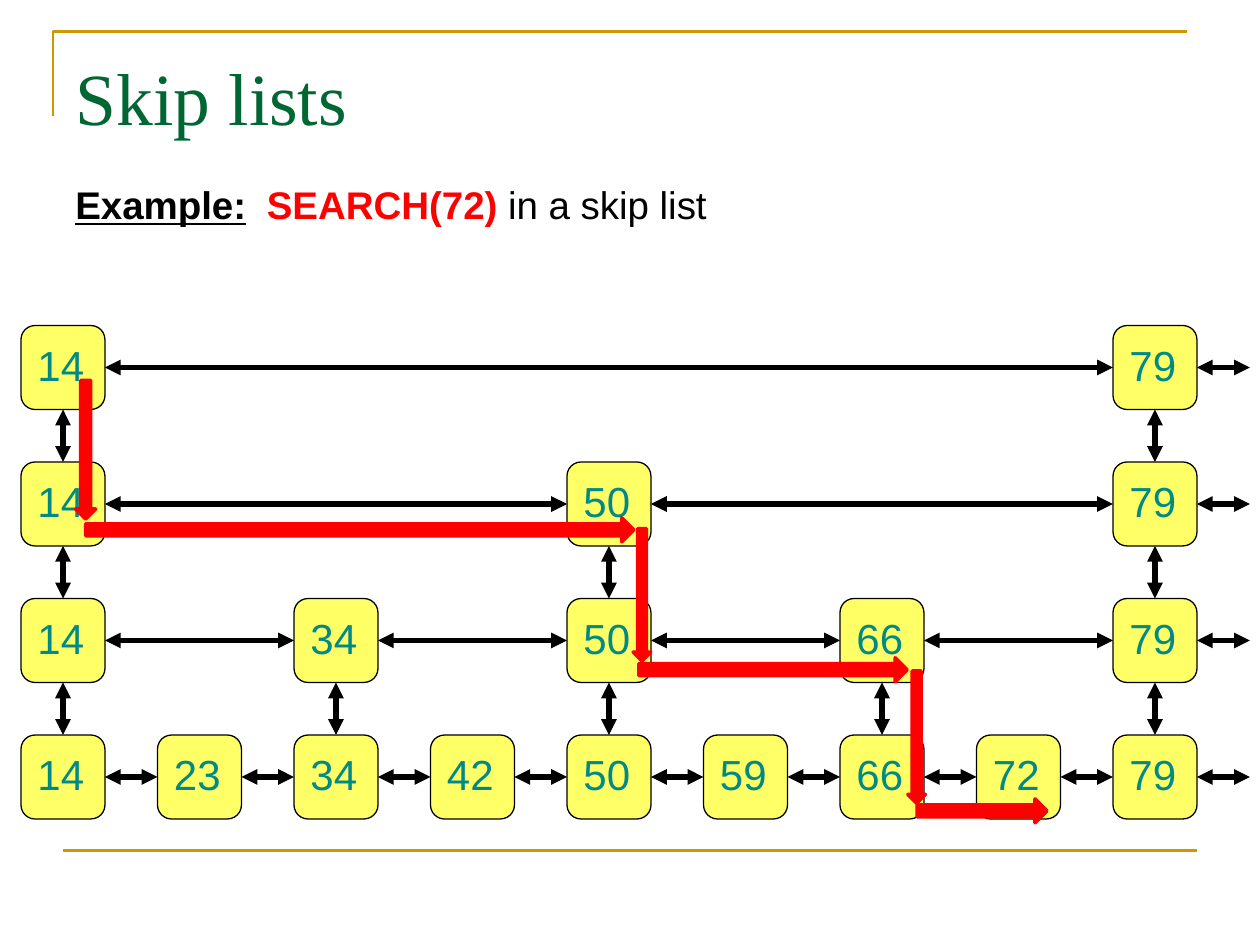
from lxml.etree import SubElement
from pptx import Presentation
from pptx.dml.color import RGBColor
from pptx.enum.shapes import MSO_CONNECTOR, MSO_SHAPE
from pptx.enum.text import MSO_ANCHOR, PP_ALIGN
from pptx.oxml.ns import qn
from pptx.util import Inches, Pt

BLACK = RGBColor(0x00, 0x00, 0x00)
RED = RGBColor(0xFF, 0x00, 0x00)
GOLD = RGBColor(0xCC, 0x99, 0x00)
GREEN = RGBColor(0x00, 0x66, 0x33)
TEAL = RGBColor(0x00, 0x8A, 0x87)
YELLOW = RGBColor(0xFF, 0xFF, 0x66)

BOTTOM_LIST = [14, 23, 34, 42, 50, 59, 66, 72, 79]
LEVELS = [[14, 79], [14, 50, 79], [14, 34, 50, 66, 79], BOTTOM_LIST]
SEARCH_PATH = [
    (0.68, 4.11, 4.35, 0.19, 0),
    (5.07, 5.22, 2.13, 0.19, 0),
    (4.57, 4.65, 1.05, 0.14, 90),
    (0.13, 3.49, 1.10, 0.16, 90),
    (6.75, 5.78, 1.05, 0.14, 90),
    (7.28, 6.34, 1.03, 0.19, 0),
]

SIDE = 2 / 3
STEP = 13 / 12
FIRST_LEFT = 1 / 6
FIRST_TOP = 31 / 12
LIST_END = 9.92
TOP, LEFT, BOTTOM, RIGHT = range(4)

deck = Presentation()
deck.slide_width, deck.slide_height = Inches(10), Inches(7.5)
page = deck.slides.add_slide(deck.slide_layouts[5])


def write(para, text, size=24, color=BLACK, font="Arial", bold=False, underline=False):
    span = para.add_run()
    span.text = text
    span.font.name = font
    span.font.size = Pt(size)
    span.font.bold = bold
    span.font.underline = underline
    span.font.color.rgb = color


def add_line(start, end, color=BLACK, width=3, arrows=False):
    line = page.shapes.add_connector(
        MSO_CONNECTOR.STRAIGHT, *(Inches(value) for value in (*start, *end)))
    line.line.color.rgb = color
    line.line.width = Pt(width)
    properties = line.line._get_or_add_ln()
    if arrows:
        for end_name in ("a:headEnd", "a:tailEnd"):
            SubElement(properties, qn(end_name), type="triangle")
    SubElement(properties.getparent(), qn("a:effectLst"))
    return line


def add_shape(preset, left, top, width, height, fill, outline, weight):
    shape = page.shapes.add_shape(
        preset, Inches(left), Inches(top), Inches(width), Inches(height))
    shape.shadow.inherit = False
    shape.fill.solid()
    shape.fill.fore_color.rgb = fill
    shape.line.color.rgb = outline
    shape.line.width = Pt(weight)
    return shape


def add_node(key, left, top):
    box = add_shape(MSO_SHAPE.ROUNDED_RECTANGLE, left, top, SIDE, SIDE, YELLOW, BLACK, 0.75)
    box.text_frame.vertical_anchor = MSO_ANCHOR.MIDDLE
    para = box.text_frame.paragraphs[0]
    para.alignment = PP_ALIGN.LEFT
    para.line_spacing = 0.9
    write(para, str(key), color=TEAL)
    return box


def link(first, second, first_side, second_side):
    line = add_line((0, 0), (1, 1), arrows=True)
    line.begin_connect(first, first_side)
    line.end_connect(second, second_side)


builder = page.shapes.build_freeform(Inches(0.42), Inches(0.92))
builder.add_line_segments(
    [(Inches(0.42), Inches(0.25)), (Inches(9.42), Inches(0.25))], close=False)
corner = builder.convert_to_shape()
corner.shadow.inherit = False
corner.fill.background()
corner.line.color.rgb = GOLD
corner.line.width = Pt(1.5)
add_line((0.5, 6.75), (9.5, 6.75), color=GOLD, width=1.5)

title = page.shapes.title
title.left, title.top = Inches(0.5), Inches(0.3)
title.width, title.height = Inches(9), Inches(0.93)
title.text_frame.vertical_anchor = MSO_ANCHOR.MIDDLE
title.text_frame.paragraphs[0].alignment = PP_ALIGN.LEFT
write(title.text_frame.paragraphs[0], "Skip lists", size=42, color=GREEN, font="Times New Roman")

example = page.shapes.add_textbox(Inches(0.5), Inches(1.39), Inches(8.5), Inches(0.83))
example.text_frame.word_wrap = True
para = example.text_frame.paragraphs[0]
para.space_before = Pt(2)
tabs = SubElement(para._p.get_or_add_pPr(), qn("a:tabLst"))
SubElement(tabs, qn("a:tab"), pos=str(Inches(1.52)), algn="l")
write(para, "Example:", size=22, bold=True, underline=True)
write(para, "\t", size=22)
write(para, "SEARCH(72) ", size=22, color=RED, bold=True)
write(para, "in a skip list", size=22)

above = {}
for row, keys in enumerate(LEVELS):
    top = FIRST_TOP + row * STEP
    nodes = {key: add_node(key, FIRST_LEFT + BOTTOM_LIST.index(key) * STEP, top)
             for key in keys}
    for key, next_key in zip(keys, keys[1:]):
        link(nodes[key], nodes[next_key], RIGHT, LEFT)
    for key in above:
        link(above[key], nodes[key], BOTTOM, TOP)
    middle = top + SIDE / 2
    onward = add_line((9.5, middle), (LIST_END, middle), arrows=True)
    onward.begin_connect(nodes[keys[-1]], RIGHT)
    above = nodes

for left, top, width, height, angle in SEARCH_PATH:
    arrow = add_shape(MSO_SHAPE.RIGHT_ARROW, left, top, width, height, RED, RED, 2)
    arrow.rotation = angle

deck.save("out.pptx")
